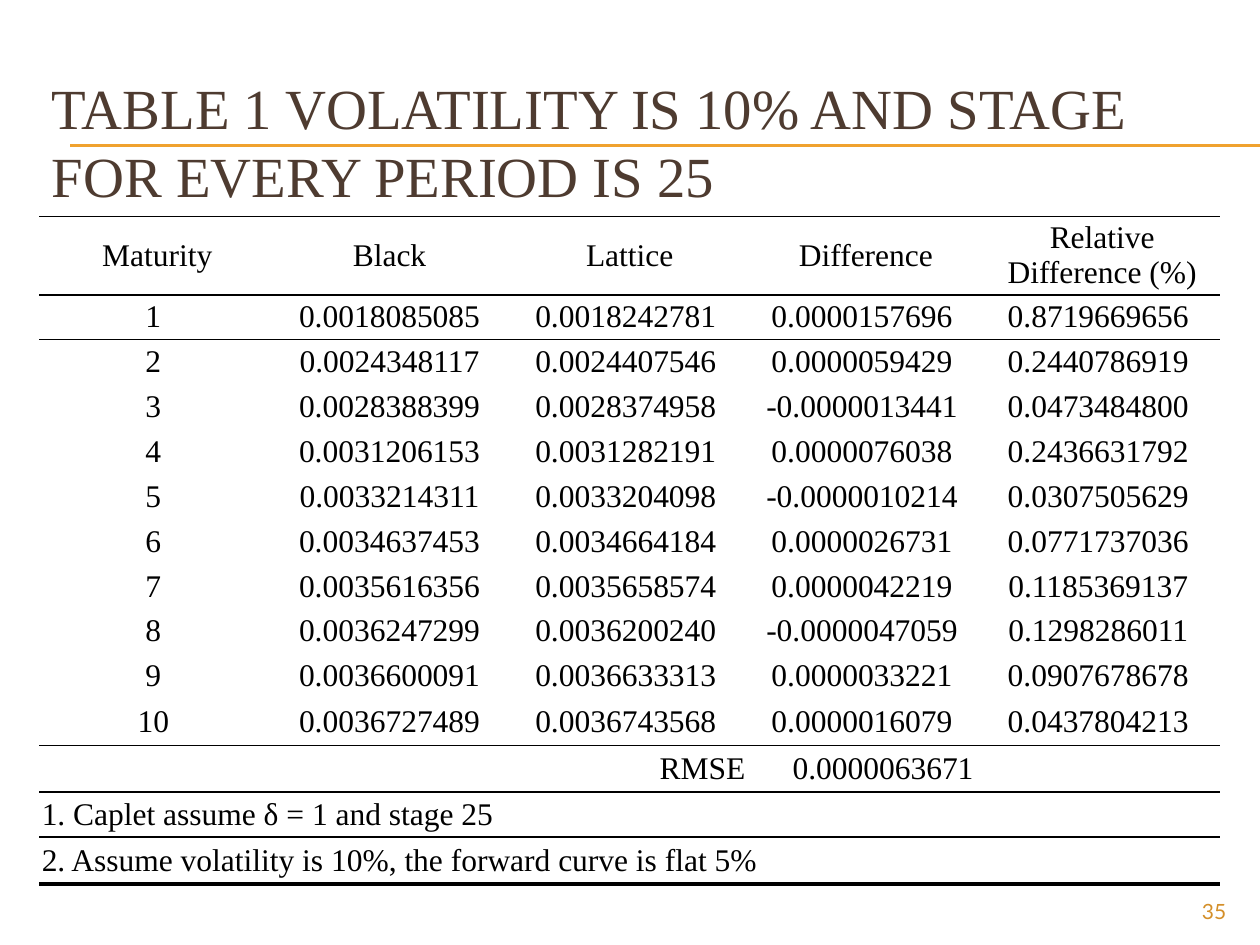
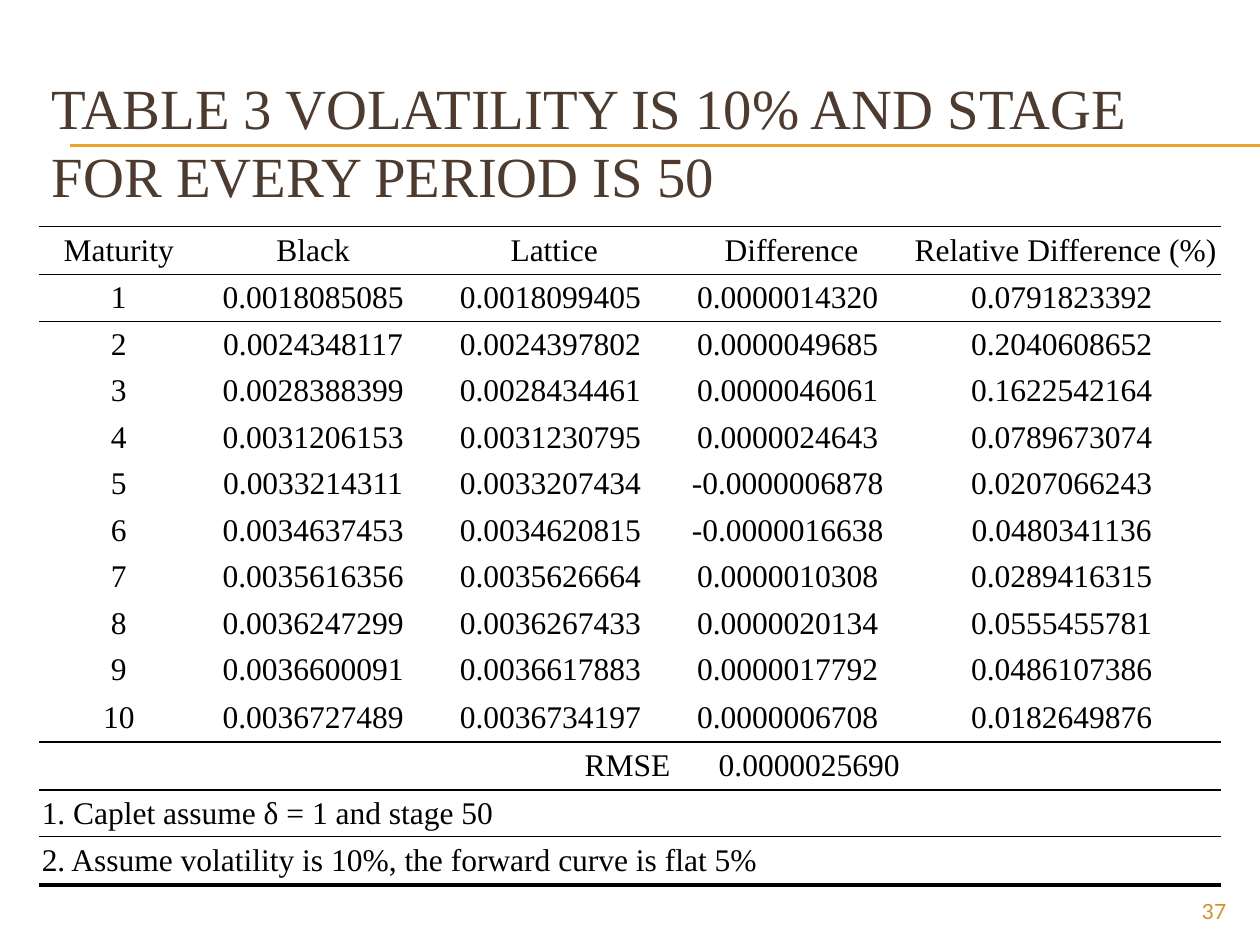
from dataclasses import dataclass

from pptx import Presentation
from pptx.dml.color import RGBColor
from pptx.enum.shapes import MSO_CONNECTOR
from pptx.enum.text import MSO_ANCHOR, MSO_AUTO_SIZE, PP_ALIGN
from pptx.oxml import parse_xml
from pptx.oxml.ns import nsdecls, qn
from pptx.util import Pt


@dataclass(frozen=True)
class Theme:
    """Colours, fonts and type sizes shared by the slides."""

    heading: str = "4E3B30"
    accent: str = "F0A22E"
    page: str = "D48F29"
    ink: str = "000000"
    serif: str = "Times New Roman"
    sans: str = "Lato"
    title_size: float = 32.4
    title_pitch: float = 38.6
    cell_size: float = 18
    page_size: float = 12
    hairline: float = 0.75
    thin: float = 1
    thick: float = 2.25


@dataclass(frozen=True)
class Comparison:
    """One table of Black and lattice prices with its layout."""

    number: int
    page: int
    stage: int
    top: float
    columns: tuple
    header_height: float
    body_height: float
    edge_height: float
    maturity_end: str
    lattice: tuple
    difference: tuple
    relative: tuple
    rmse: str


THEME = Theme()
NO_GRID_STYLE = "{2D5ABB26-0587-4C30-8999-92F81FD0307C}"
TABLE_LEFT = 22.4
HEADINGS = ("Maturity", "Black ", "Lattice", "Difference", "Relative Difference (%)")
BLACK = (
    "0.0018085085", "0.0024348117", "0.0028388399", "0.0031206153", "0.0033214311",
    "0.0034637453", "0.0035616356", "0.0036247299", "0.0036600091", "0.0036727489",
)
COMPARISONS = (
    Comparison(
        number=1, page=35, stage=25, top=123.8, columns=(135,) * 5,
        header_height=44.7, body_height=25.65, edge_height=26.8, maturity_end=" ",
        lattice=(
            "0.0018242781", "0.0024407546", "0.0028374958", "0.0031282191", "0.0033204098",
            "0.0034664184", "0.0035658574", "0.0036200240", "0.0036633313", "0.0036743568",
        ),
        difference=(
            "0.0000157696", "0.0000059429", "-0.0000013441", "0.0000076038", "-0.0000010214",
            "0.0000026731", "0.0000042219", "-0.0000047059", "0.0000033221", "0.0000016079",
        ),
        relative=(
            "0.8719669656", "0.2440786919", "0.0473484800", "0.2436631792", "0.0307505629",
            "0.0771737036", "0.1185369137", "0.1298286011", "0.0907678678", "0.0437804213",
        ),
        rmse="0.0000063671",
    ),
    Comparison(
        number=3, page=37, stage=50, top=129.3, columns=(91, 135.6, 135.6, 135.6, 177.6),
        header_height=27.7, body_height=26.6, edge_height=27.6, maturity_end="",
        lattice=(
            "0.0018099405", "0.0024397802", "0.0028434461", "0.0031230795", "0.0033207434",
            "0.0034620815", "0.0035626664", "0.0036267433", "0.0036617883", "0.0036734197",
        ),
        difference=(
            "0.0000014320", "0.0000049685", "0.0000046061", "0.0000024643", "-0.0000006878",
            "-0.0000016638", "0.0000010308", "0.0000020134", "0.0000017792", "0.0000006708",
        ),
        relative=(
            "0.0791823392", "0.2040608652", "0.1622542164", "0.0789673074", "0.0207066243",
            "0.0480341136", "0.0289416315", "0.0555455781", "0.0486107386", "0.0182649876",
        ),
        rmse="0.0000025690",
    ),
)


def write(paragraph, words, size, family, colour, align):
    """Add one formatted run to a paragraph."""
    paragraph.alignment = align
    run = paragraph.add_run()
    run.text = words
    run.font.size = Pt(size)
    run.font.name = family
    run.font.color.rgb = RGBColor.from_string(colour)


def add_rules(slide):
    """Draw the pair of accent rules across the title."""
    for height in (82.8, 83.5):
        rule = slide.shapes.add_connector(
            MSO_CONNECTOR.STRAIGHT, Pt(40.3), Pt(height), Pt(720), Pt(height)
        )
        rule.line.color.rgb = RGBColor.from_string(THEME.accent)
        rule.line.width = Pt(THEME.hairline)
        rule.element.spPr.append(parse_xml(f"<a:effectLst {nsdecls('a')}/>"))


def set_title(slide, words):
    """Place and format the slide title."""
    title = slide.shapes.title
    title.left, title.top, title.width, title.height = Pt(22.4), Pt(44.6), Pt(684), Pt(66.2)
    frame = title.text_frame
    frame.auto_size = MSO_AUTO_SIZE.NONE
    frame.word_wrap = True
    frame.vertical_anchor = MSO_ANCHOR.MIDDLE
    frame.margin_top = Pt(9.4)
    heading = frame.paragraphs[0]
    heading.line_spacing = Pt(THEME.title_pitch)
    write(heading, words, THEME.title_size, THEME.serif, THEME.heading, PP_ALIGN.LEFT)


def add_page_number(slide, page):
    """Write the page number at the lower right."""
    frame = slide.shapes.add_textbox(Pt(648), Pt(509.8), Pt(59.8), Pt(19.4)).text_frame
    frame.word_wrap = True
    write(frame.paragraphs[0], str(page), THEME.page_size, THEME.sans, THEME.page, PP_ALIGN.RIGHT)


def fill_cell(cell, words, align):
    """Set the insets of a cell and write its words."""
    cell.fill.background()
    cell.vertical_anchor = MSO_ANCHOR.MIDDLE
    cell.margin_left = cell.margin_right = Pt(1.5)
    cell.margin_top = cell.margin_bottom = 0
    if words:
        write(cell.text_frame.paragraphs[0], words, THEME.cell_size, THEME.serif, THEME.ink, align)


def add_border(cell, side, weight):
    """Draw one horizontal cell border, ahead of the cell fill."""
    border = parse_xml(
        f'<a:{side} {nsdecls("a")} w="{Pt(weight)}"><a:solidFill>'
        f'<a:srgbClr val="{THEME.ink}"/></a:solidFill></a:{side}>'
    )
    properties = cell._tc.get_or_add_tcPr()
    properties.insert(len(properties.findall(qn("a:lnT"))), border)


def rule_below(table, row, weight):
    """Rule a table row off from the next one."""
    for cell in table.rows[row].cells:
        add_border(cell, "lnB", weight)
    if row + 1 < len(table.rows):
        for cell in table.rows[row + 1].cells:
            add_border(cell, "lnT", weight)


def table_rows(comparison):
    """List the words and alignments of each table row."""
    rows = [(HEADINGS, [PP_ALIGN.CENTER] * 5)]
    prices = zip(BLACK, comparison.lattice, comparison.difference, comparison.relative)
    for maturity, values in enumerate(prices, 1):
        words = [f"{maturity}{comparison.maturity_end}", *(f"{value} " for value in values)]
        rows.append((words, [PP_ALIGN.CENTER] * 5))
    rows.append((("", "", "RMSE", f"{comparison.rmse} ", ""), [PP_ALIGN.RIGHT] * 5))
    for note in (
        f"1. Caplet assume δ = 1 and stage {comparison.stage}",
        "2. Assume volatility is 10%, the forward curve is flat 5%",
    ):
        rows.append(((note, "", "", "", ""), [PP_ALIGN.LEFT] * 5))
    return rows


def add_comparison(slide, comparison):
    """Build the table of prices, error and notes."""
    rows = table_rows(comparison)
    body, edge = comparison.body_height, comparison.edge_height
    heights = [comparison.header_height] + [body] * 9 + [edge, edge, body, edge]
    holder = slide.shapes.add_table(
        len(rows), len(HEADINGS), Pt(TABLE_LEFT), Pt(comparison.top),
        Pt(sum(comparison.columns)), Pt(sum(heights)),
    )
    for style in holder.element.iter(qn("a:tableStyleId")):
        style.text = NO_GRID_STYLE
    table = holder.table
    table.first_row = table.horz_banding = False
    for column, width in zip(table.columns, comparison.columns):
        column.width = Pt(width)
    for row, height, (words, aligns) in zip(table.rows, heights, rows):
        row.height = Pt(height)
        for cell, word, align in zip(row.cells, words, aligns):
            fill_cell(cell, word, align)
    for cell in table.rows[0].cells:
        add_border(cell, "lnT", THEME.thin)
    rmse_row = len(BLACK) + 1
    for row in (0, rmse_row - 1, rmse_row):
        rule_below(table, row, THEME.thin)
    rule_below(table, len(rows) - 1, THEME.thick)
    for note_row in range(rmse_row + 1, len(rows)):
        table.cell(note_row, 0).merge(table.cell(note_row, len(HEADINGS) - 1))


def main():
    """Build both comparison slides and save them."""
    deck = Presentation()
    deck.slide_width, deck.slide_height = Pt(720), Pt(540)
    title_only = deck.slide_layouts[5]
    for comparison in COMPARISONS:
        slide = deck.slides.add_slide(title_only)
        add_rules(slide)
        set_title(
            slide,
            f"TABLE {comparison.number} VOLATILITY IS 10% AND STAGE "
            f"FOR EVERY PERIOD IS {comparison.stage}",
        )
        add_page_number(slide, comparison.page)
        add_comparison(slide, comparison)
    deck.save("out.pptx")


if __name__ == "__main__":
    main()
